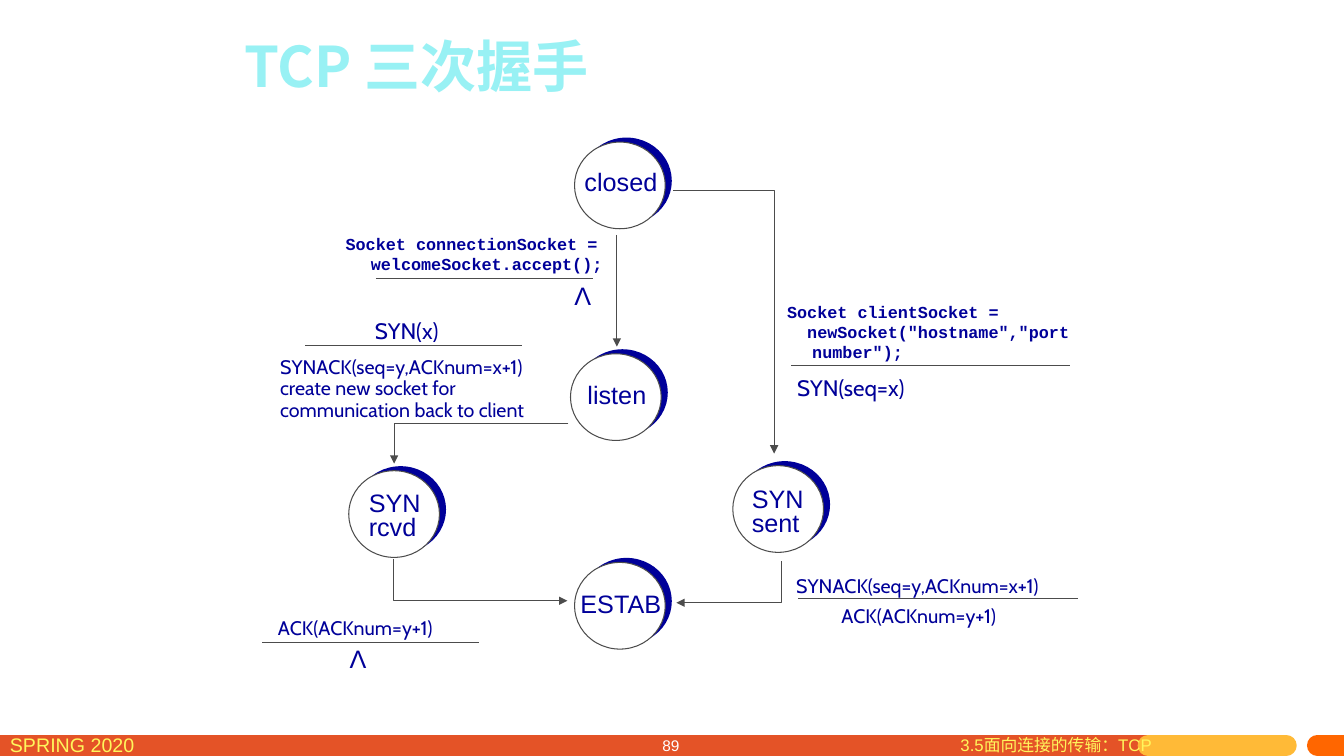
from lxml.etree import SubElement
from pptx import Presentation
from pptx.dml.color import RGBColor
from pptx.enum.shapes import MSO_CONNECTOR as Link, MSO_SHAPE as Preset
from pptx.enum.text import MSO_ANCHOR as Anchor, MSO_AUTO_SIZE as Fit, PP_ALIGN as Align
from pptx.oxml.ns import qn
from pptx.util import Inches, Pt

COLORS = {
    "navy": "000099", "white": "FFFFFF", "grey": "4C4C4C", "title": "98F1F4",
    "lemon": "FFF65C", "red": "E45327", "amber": "FFBA37", "orange": "FF6600",
}


def rgb(name):
    return RGBColor.from_string(COLORS[name])


def cells(*counts):
    return [Inches(count / 10) for count in counts]


class StateDiagram:
    """Draws a state diagram on a grid of ten columns and ten rows to the inch."""

    def __init__(self, deck):
        self.shapes = deck.slides.add_slide(deck.slide_layouts[6]).shapes

    def text(self, words, box, size, font="Arial", color="navy", bold=False,
             spacing=None, align=None, anchor=Anchor.TOP, wrap=False, hanging=0):
        label = self.shapes.add_textbox(*cells(*box))
        frame = label.text_frame
        frame.text = words
        frame.word_wrap = wrap
        frame.auto_size = Fit.NONE if wrap else Fit.SHAPE_TO_FIT_TEXT
        frame.vertical_anchor = anchor
        for line in frame.paragraphs:
            line.alignment = align
            line.line_spacing = spacing
            if hanging:
                margin = Inches(hanging / 10)
                properties = line._p.get_or_add_pPr()
                properties.set("marL", str(margin))
                properties.set("indent", str(-margin))
            for run in line.runs:
                run.font.size = Pt(size)
                run.font.name = font
                run.font.bold = bold
                run.font.color.rgb = rgb(color)
                SubElement(run.font._element, qn("a:ea"), typeface="Noto Sans CJK SC")

    def code(self, words, box):
        self.text(words, box, 12, "Courier New", bold=True, wrap=True, hanging=2.5)

    def message(self, words, box, size=14):
        self.text(words, box, size, "Cabin", spacing=0.9 if size == 14 else None)

    def pen(self, line, color="grey", width=0.75, arrow=False):
        line.color.rgb = rgb(color)
        line.width = Pt(width)
        if arrow:
            SubElement(line._get_or_add_ln(), qn("a:tailEnd"), type="triangle")

    def line(self, start, end, color="grey", width=0.75, arrow=False, rounded=False):
        rule = self.shapes.add_connector(Link.STRAIGHT, *cells(*start, *end))
        self.pen(rule.line, color, width, arrow)
        if rounded:
            rule.line._get_or_add_ln().set("cap", "rnd")
        SubElement(rule._element.spPr, qn("a:effectLst"))

    def underline(self, left, row, width):
        self.line((left, row), (left + width, row))

    def bent_arrow(self, start, corner, end):
        builder = self.shapes.build_freeform(*cells(*start))
        builder.add_line_segments([cells(*corner), cells(*end)], close=False)
        path = builder.convert_to_shape()
        path.shadow.inherit = False
        path.fill.background()
        self.pen(path.line, arrow=True)

    def state(self, name, left, top, label_box, spacing=None):
        for color, x, y in (("navy", left + 0.65, top - 0.45), ("white", left, top)):
            disc = self.shapes.add_shape(Preset.OVAL, *cells(x, y, 9, 8.6))
            disc.shadow.inherit = False
            disc.fill.solid()
            disc.fill.fore_color.rgb = rgb(color)
            if color == "navy":
                disc.line.fill.background()
            else:
                self.pen(disc.line)
        self.text(name, label_box, 18, spacing=spacing)


def main():
    deck = Presentation()
    deck.slide_width, deck.slide_height = cells(133.33, 75)
    handshake = StateDiagram(deck)

    for start, end, color in ((0, 113.9, "red"), (113.9, 127.6, "amber"),
                              (130.7, 133.33, "orange")):
        handshake.line((start, 73.95), (end, 73.95), color, 15, rounded=True)
    handshake.text("SPRING 2020", (0, 72.2, 22.9, 3.1), 14, color="lemon", wrap=True)
    handshake.text("89", (42.5, 72.2, 25.9, 3.4), 11, color="white",
                   align=Align.RIGHT, anchor=Anchor.MIDDLE, wrap=True)
    handshake.text("3.5面向连接的传输：TCP", (94.3, 72.4, 31.1, 3.1), 12,
                   color="lemon", wrap=True)
    handshake.text("TCP 三次握手", (22.1, 1.8, 38.4, 9.3), 40, "Noto Sans CJK SC",
                   "title", True, align=Align.CENTER, anchor=Anchor.MIDDLE, wrap=True)

    for name, left, top, label_box, spacing in (
        ("closed", 57, 14.1, (57, 16, 9.8, 4), None),
        ("listen", 56.6, 35.1, (57.3, 37.1, 8.6, 4), None),
        ("SYN\nrcvd", 34.6, 46.7, (35.6, 48.4, 7.8, 5.9), 0.8),
        ("SYN\nsent", 72.7, 46.2, (73.6, 48, 7.8, 5.9), 0.8),
        ("ESTAB", 57, 55.8, (56.6, 58.5, 10.8, 3.4), 0.8),
    ):
        handshake.state(name, left, top, label_box, spacing)

    handshake.line((61.2, 23.3), (61.2, 34.4), arrow=True)
    for corners in (
        ((66.8, 18.9), (76.8, 18.9), (76.8, 45)),
        ((56.4, 42), (39.1, 42), (39.1, 46)),
        ((39, 55.5), (39, 59.6), (56.3, 59.6)),
        ((77.5, 55.7), (77.5, 59.8), (67.1, 59.8)),
    ):
        handshake.bent_arrow(*corners)

    handshake.code("Socket connectionSocket = welcomeSocket.accept();",
                   (33.3, 22.7, 28.2, 5))
    handshake.code('Socket clientSocket =\n  newSocket("hostname","port number");',
                   (77.1, 29.4, 31.6, 7.1))
    for left, row, width in ((37.3, 27.6, 21.5), (30.3, 34.3, 21.5), (26, 63.7, 21.5),
                             (78.5, 36.3, 27.7), (79.2, 59.4, 27.7)):
        handshake.underline(left, row, width)
    for left, top in ((56, 27.3), (33.7, 63.3)):
        handshake.text("Λ", (left, top, 3.7, 4), 18)

    handshake.message("SYN(x)", (36.2, 31, 8.8, 3.7), 16)
    handshake.message("SYN(seq=x)", (78.1, 36.6, 13.8, 3.7), 16)
    handshake.message("SYNACK(seq=y,ACKnum=x+1)\ncreate new socket for\n"
                      "communication back to client", (26.8, 35, 28.5, 7.4))
    handshake.message("SYNACK(seq=y,ACKnum=x+1)", (78, 56.7, 28.6, 3.1))
    for left, top in ((82.5, 59.7), (26.6, 60.9)):
        handshake.message("ACK(ACKnum=y+1)", (left, top, 19.3, 3.1))

    deck.save("out.pptx")


if __name__ == "__main__":
    main()
